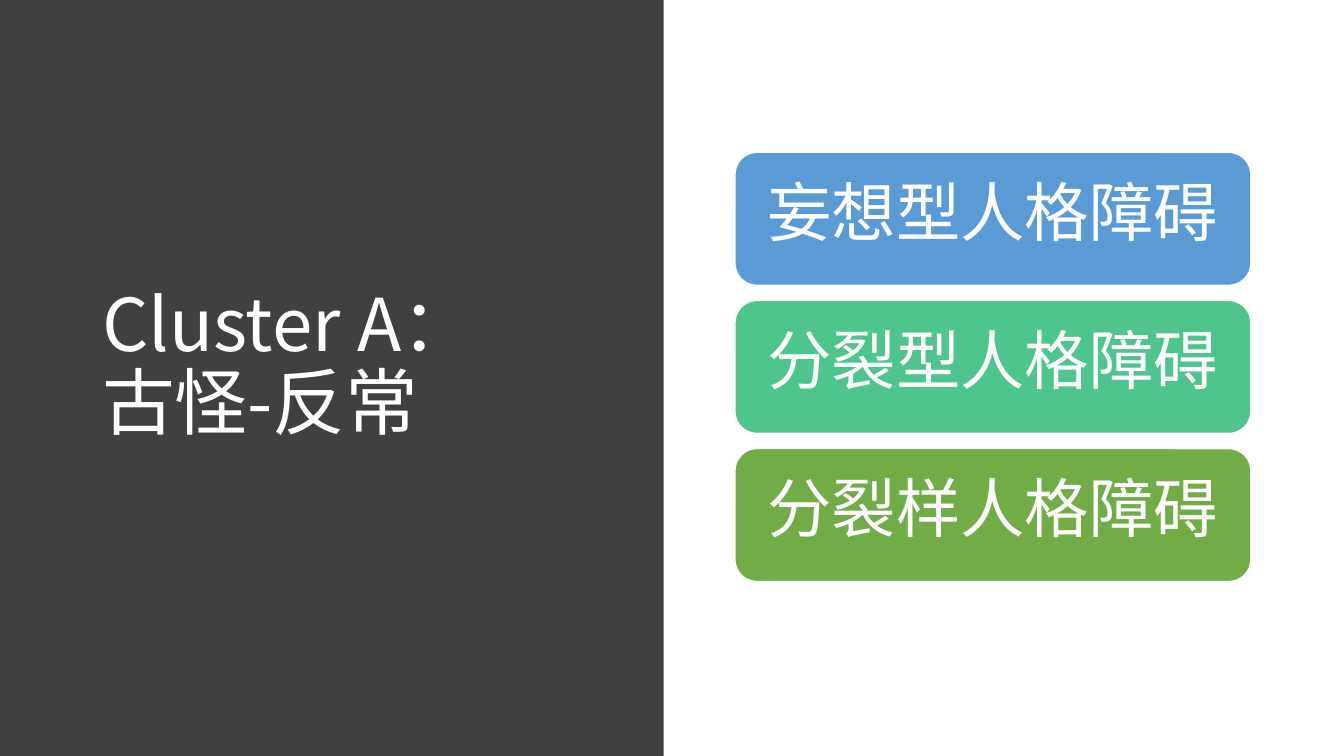
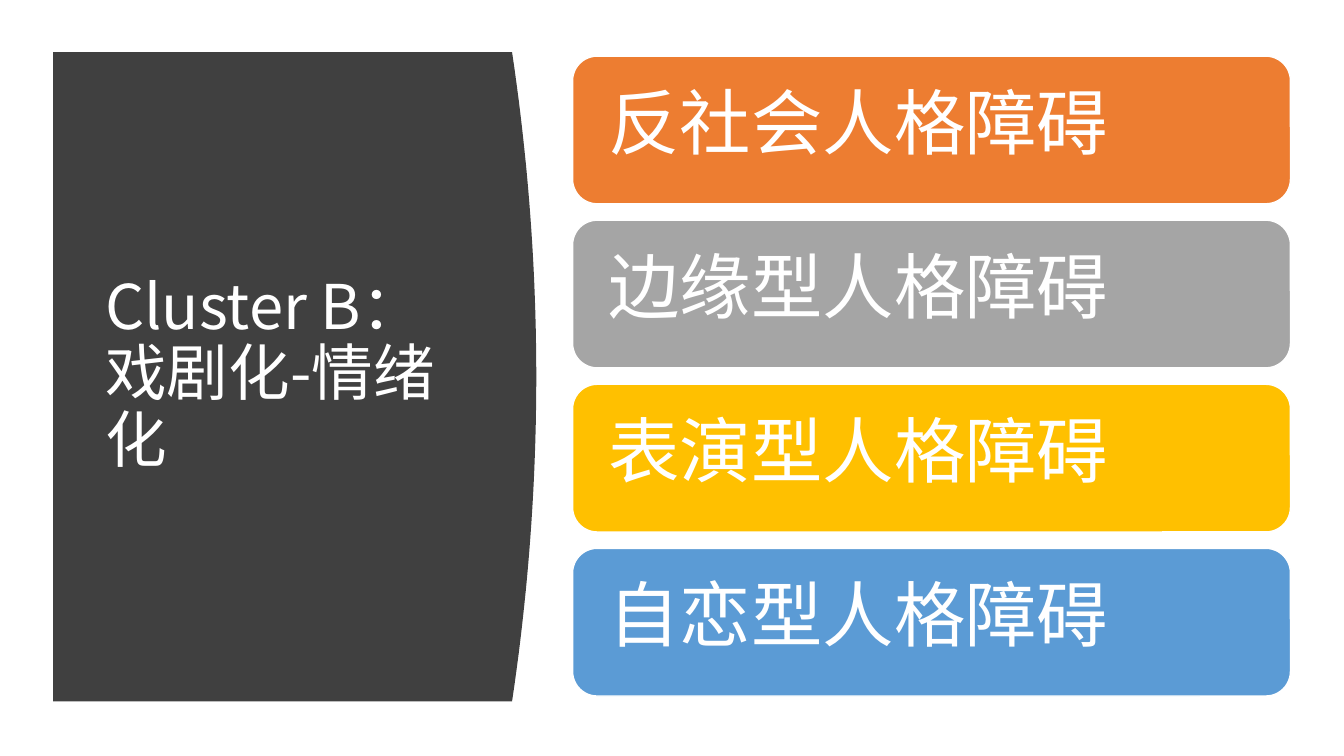
"""Build two slides that list the personality disorders of clusters A and B."""
from lxml.etree import SubElement
from pptx import Presentation
from pptx.dml.color import RGBColor
from pptx.enum.shapes import MSO_SHAPE
from pptx.enum.text import MSO_ANCHOR, PP_ALIGN
from pptx.oxml.ns import qn
from pptx.util import Pt

FONT = "Noto Sans CJK SC"
WHITE = RGBColor(0xFF, 0xFF, 0xFF)
CHARCOAL = RGBColor(0x40, 0x40, 0x40)
BLUE = RGBColor(0x5B, 0x9B, 0xD5)
MINT = RGBColor(0x4D, 0xC5, 0x8D)
GREEN = RGBColor(0x70, 0xAD, 0x47)
ORANGE = RGBColor(0xED, 0x7D, 0x31)
GRAY = RGBColor(0xA5, 0xA5, 0xA5)
GOLD = RGBColor(0xFF, 0xC0, 0x00)
LINE_SPACING = 0.9
CURVE_STEPS = 40


def add_run(paragraph, text, size):
    run = paragraph.add_run()
    run.text = text
    run.font.size = Pt(size)
    run.font.name = FONT
    run.font.color.rgb = WHITE
    SubElement(run.font._element, qn("a:ea"), typeface=FONT)


def prepare_text(shape):
    frame = shape.text_frame
    frame.word_wrap = True
    frame.vertical_anchor = MSO_ANCHOR.MIDDLE
    paragraph = frame.paragraphs[0]
    paragraph.alignment = PP_ALIGN.LEFT
    paragraph.line_spacing = LINE_SPACING
    return frame, paragraph


def paint_panel(shape):
    shape.shadow.inherit = False
    shape.fill.solid()
    shape.fill.fore_color.rgb = CHARCOAL
    shape.line.fill.background()


def add_straight_panel(slide, width, height):
    paint_panel(slide.shapes.add_shape(MSO_SHAPE.RECTANGLE, 0, 0, Pt(width), Pt(height)))


def add_curved_panel(slide, left, top, right, height, bulge):
    points = [(left, top)]
    for step in range(CURVE_STEPS + 1):
        fraction = step / CURVE_STEPS
        offset = bulge * (1 - (2 * fraction - 1) ** 2)
        points.append((right + offset, top + height * fraction))
    points.append((left, top + height))
    corners = [(Pt(x), Pt(y)) for x, y in points]
    builder = slide.shapes.build_freeform(*corners[0])
    builder.add_line_segments(corners[1:], close=True)
    paint_panel(builder.convert_to_shape())


def add_title(slide, lines, left, top, width, height, size):
    box = slide.shapes.add_textbox(Pt(left), Pt(top), Pt(width), Pt(height))
    paragraph = prepare_text(box)[1]
    for index, line in enumerate(lines):
        if index:
            paragraph.add_line_break()
        add_run(paragraph, line, size)


def add_card(slide, text, color, left, top, width, height, size, inset):
    card = slide.shapes.add_shape(
        MSO_SHAPE.ROUNDED_RECTANGLE, Pt(left), Pt(top), Pt(width), Pt(height))
    card.shadow.inherit = False
    card.fill.solid()
    card.fill.fore_color.rgb = color
    card.line.color.rgb = WHITE
    card.line.width = Pt(1)
    frame, paragraph = prepare_text(card)
    frame.margin_left = frame.margin_right = Pt(inset)
    frame.margin_top = 0
    frame.margin_bottom = Pt(5)
    add_run(paragraph, text, size)


def add_card_column(slide, cards, left, top, width, height, pitch, size, inset):
    for index, (text, color) in enumerate(cards):
        add_card(slide, text, color, left, top + index * pitch, width, height, size, inset)


def build_cluster_a(presentation):
    slide = presentation.slides.add_slide(presentation.slide_layouts[6])
    add_straight_panel(slide, 474, 540)
    add_title(slide, ["Cluster A：", "古怪-反常"], 66, 49, 377, 426, 52)
    cards = [("妄想型人格障碍", BLUE), ("分裂型人格障碍", MINT), ("分裂样人格障碍", GREEN)]
    add_card_column(slide, cards, 525, 108.8, 368.5, 95, 105.8, 46, 18.5)


def build_cluster_b(presentation):
    slide = presentation.slides.add_slide(presentation.slide_layouts[6])
    add_curved_panel(slide, 38, 37.3, 365.8, 463.7, 17.3)
    add_title(slide, ["Cluster B：", "戏剧化-情绪化"], 68, 80, 269, 377, 44)
    cards = [("反社会人格障碍", ORANGE), ("边缘型人格障碍", GRAY),
             ("表演型人格障碍", GOLD), ("自恋型人格障碍", BLUE)]
    add_card_column(slide, cards, 409, 40.1, 512.8, 105.5, 117.2, 51, 20.5)


def main():
    presentation = Presentation()
    presentation.slide_width = Pt(960)
    presentation.slide_height = Pt(540)
    build_cluster_a(presentation)
    build_cluster_b(presentation)
    presentation.save("out.pptx")


if __name__ == "__main__":
    main()
